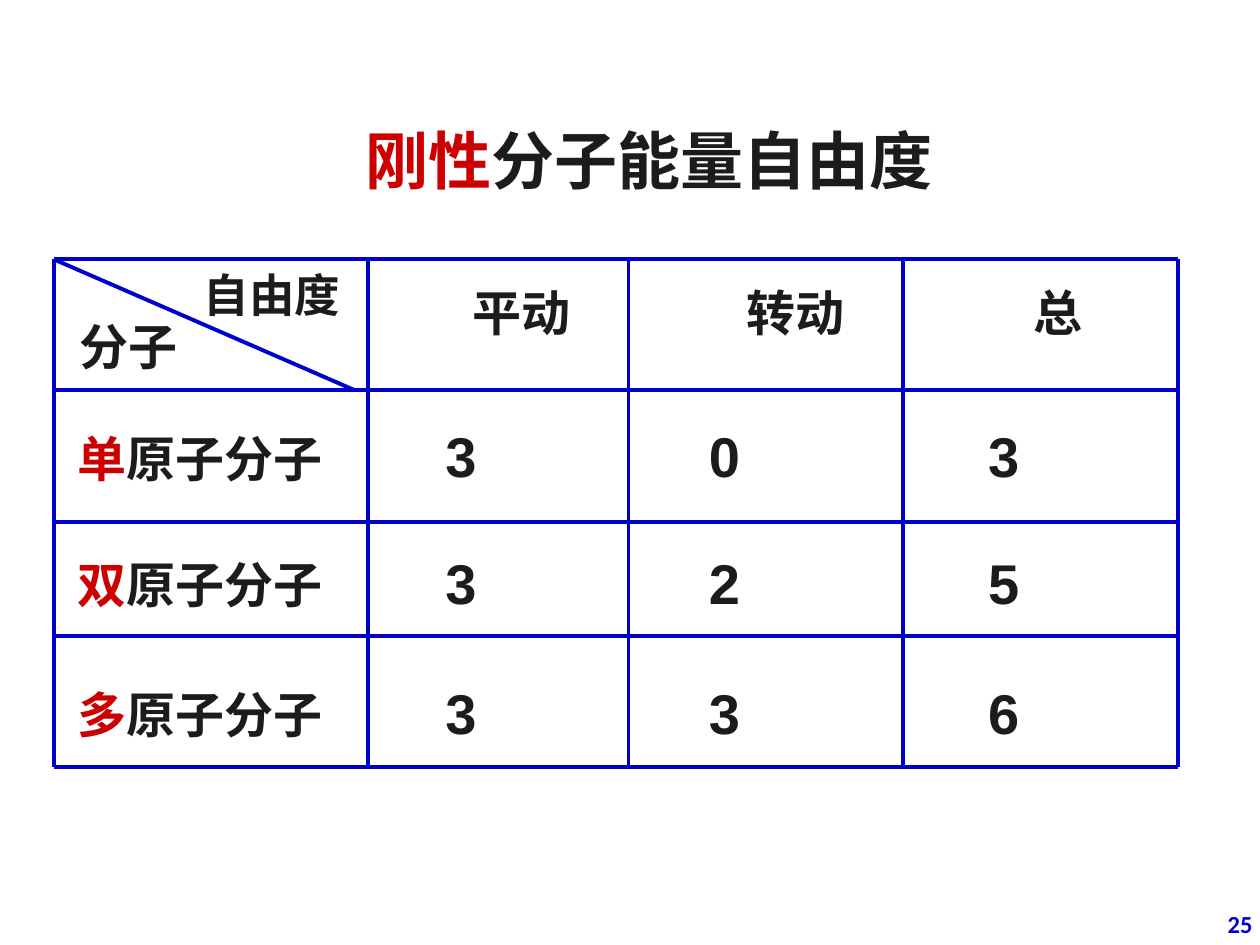
from dataclasses import dataclass

from lxml import etree
from pptx import Presentation
from pptx.dml.color import RGBColor
from pptx.enum.shapes import MSO_CONNECTOR
from pptx.enum.text import MSO_ANCHOR, PP_ALIGN
from pptx.oxml.ns import qn
from pptx.util import Cm, Pt

STRAIGHT = MSO_CONNECTOR.STRAIGHT
TOP, MIDDLE = MSO_ANCHOR.TOP, MSO_ANCHOR.MIDDLE
RIGHT = PP_ALIGN.RIGHT


@dataclass(frozen=True)
class Theme:
    ink: str = "1C1C1C"
    accent: str = "CC0000"
    rule: str = "0000CC"
    rule_width: float = 2.25
    title: int = 36
    number: int = 32
    label: int = 28
    corner: int = 26
    page_number: int = 14


theme = Theme()


def write(paragraph, text, size, color=theme.ink, font="Arial", accented=0):
    """Write bold text; its first `accented` characters take the accent colour."""
    for part, shade in ((text[:accented], theme.accent), (text[accented:], color)):
        if part:
            span = paragraph.add_run()
            span.text = part
            span.font.size = Pt(size)
            span.font.bold = True
            span.font.name = font
            span.font.color.rgb = RGBColor.from_string(shade)


def set_cell(cell, left, top, anchor, right=0):
    """Give a cell its margins and anchor, without a fill."""
    cell.margin_left, cell.margin_right = Cm(left), Cm(right)
    cell.margin_top, cell.margin_bottom = Cm(top), Cm(0)
    cell.vertical_anchor = anchor
    cell.fill.background()


deck = Presentation()
deck.slide_width, deck.slide_height = Cm(25.4), Cm(19.05)
page = deck.slides.add_slide(deck.slide_layouts[6])

# Title
box = page.shapes.add_textbox(Cm(7.11), Cm(2.33), Cm(13.16), Cm(1.8))
box.text_frame.word_wrap = True
write(box.text_frame.paragraphs[0], "刚性分子能量自由度", theme.title, accented=2)

# Table
column_edges = [1.09, 7.42, 12.67, 18.21, 23.75]
row_edges = [5.23, 7.87, 10.52, 12.83, 15.47]
left, right = column_edges[0], column_edges[-1]
top, bottom = row_edges[0], row_edges[-1]
table = page.shapes.add_table(
    4, 4, Cm(left), Cm(top), Cm(right - left), Cm(bottom - top)).table
table.first_row = table.horz_banding = False
for column, start, end in zip(table.columns, column_edges, column_edges[1:]):
    column.width = Cm(end - start)
for row, start, end in zip(table.rows, row_edges, row_edges[1:]):
    row.height = Cm(end - start)

# Corner cell
corner = table.cell(0, 0)
set_cell(corner, 0.52, 0, TOP, right=0.56)
across = corner.text_frame.paragraphs[0]
across.alignment = RIGHT
write(across, "自由度", theme.corner)
down = corner.text_frame.add_paragraph()
down.line_spacing = Pt(31)
write(down, "分子", theme.label)

# Column headings
headings = [("平动", 2.1), ("转动", 2.38), ("总", 2.62)]
for column, (heading, indent) in enumerate(headings, 1):
    cell = table.cell(0, column)
    set_cell(cell, indent, 0.3, TOP)
    write(cell.text_frame.paragraphs[0], heading, theme.label,
          font="Times New Roman")

# Molecule rows: label, degrees of freedom, top margins of label and numbers
molecules = [
    ("单原子分子", (3, 0, 3), 0, 0.08),
    ("双原子分子", (3, 2, 5), 0.13, 0.26),
    ("多原子分子", (3, 3, 6), 0.42, 0.52),
]
number_indents = (1.56, 1.62, 1.71)
for row, (molecule, counts, label_drop, number_drop) in enumerate(molecules, 1):
    cell = table.cell(row, 0)
    set_cell(cell, 0.48, label_drop, MIDDLE)
    write(cell.text_frame.paragraphs[0], molecule, theme.label, accented=1)
    for column, (count, indent) in enumerate(zip(counts, number_indents), 1):
        cell = table.cell(row, column)
        set_cell(cell, indent, number_drop, MIDDLE)
        write(cell.text_frame.paragraphs[0], str(count), theme.number)

# Rules of the table, and the diagonal of its corner cell
rules = [(left, y, right, y) for y in row_edges]
rules += [(x, top, x, bottom) for x in column_edges]
rules.append((left, top, 7.16, row_edges[1]))
for ends in rules:
    rule = page.shapes.add_connector(STRAIGHT, *map(Cm, ends))
    rule.line.color.rgb = RGBColor.from_string(theme.rule)
    rule.line.width = Pt(theme.rule_width)
    etree.SubElement(rule._element.spPr, qn("a:effectLst"))

# Page number
box = page.shapes.add_textbox(Cm(19.58), Cm(18.12), Cm(5.92), Cm(1.02))
box.text_frame.word_wrap = True
box.text_frame.vertical_anchor = MIDDLE
paragraph = box.text_frame.paragraphs[0]
paragraph.alignment = RIGHT
write(paragraph, "25", theme.page_number, color=theme.rule, font="Calibri")

deck.save("out.pptx")
